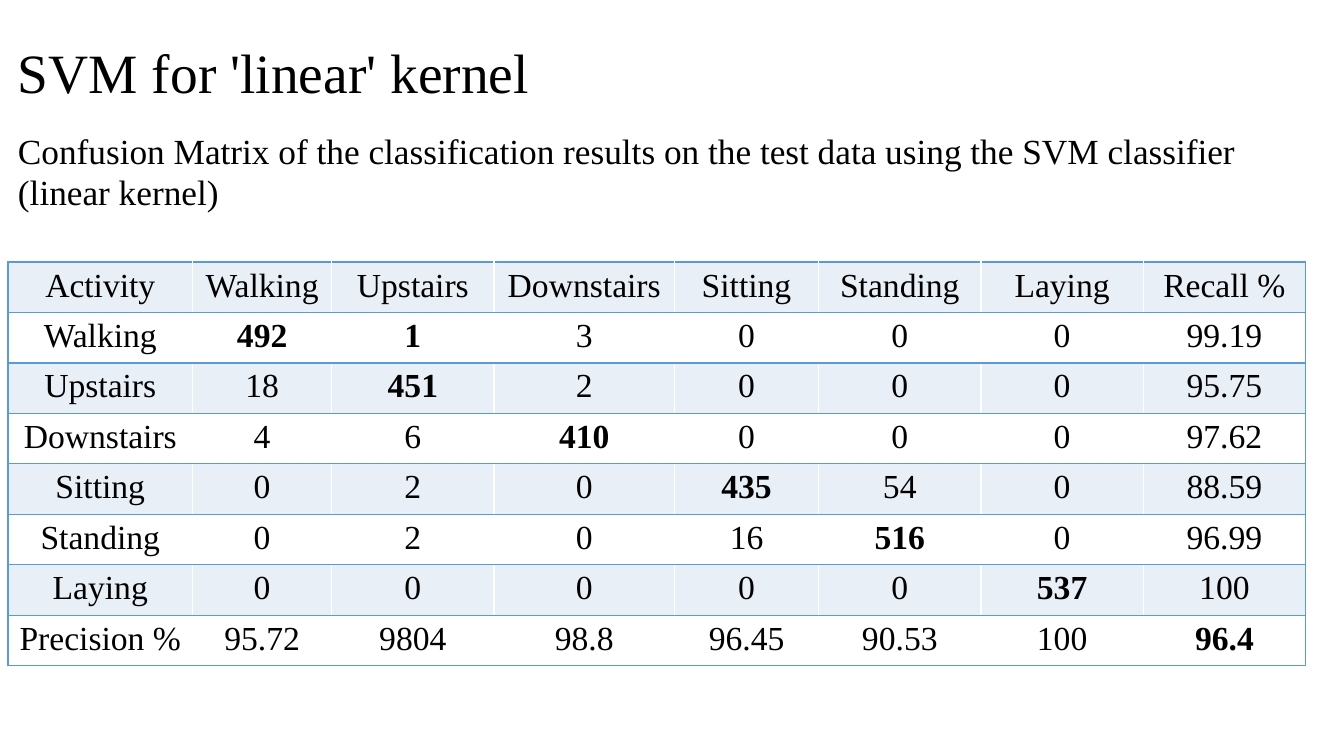
from pptx import Presentation
from pptx.dml.color import RGBColor
from pptx.enum.text import MSO_ANCHOR as Anchor, PP_ALIGN as Align
from pptx.oxml import parse_xml
from pptx.oxml.ns import nsdecls
from pptx.util import Inches, Pt

TITLE = "SVM for 'linear' kernel"
SUBTITLE = ("Confusion Matrix of the classification results on the test data "
            "using the SVM classifier (linear kernel)")
ACTIVITIES = ["Walking", "Upstairs", "Downstairs", "Sitting", "Standing", "Laying"]
COUNTS = [
    [492, 1, 3, 0, 0, 0],
    [18, 451, 2, 0, 0, 0],
    [4, 6, 410, 0, 0, 0],
    [0, 2, 0, 435, 54, 0],
    [0, 2, 0, 16, 516, 0],
    [0, 0, 0, 0, 0, 537],
]
RECALL = ["99.19", "95.75", "97.62", "88.59", "96.99", "100"]
PRECISION = ["95.72", "9804", "98.8", "96.45", "90.53", "100"]
ACCURACY = "96.4"

FONT = "Times New Roman"
BLACK, BLUE, BANDS = "000000", "5B9BD5", ("E9EFF7", "FFFFFF")
COLUMN_WIDTHS = [1.83, 1.38, 1.61, 1.79, 1.43, 1.61, 1.61, 1.61]
ROW_HEIGHT = 0.42
LEFT = 0.08


def color(hex_code):
    """Turn a hex string into a colour."""
    return RGBColor.from_string(hex_code)


def style(paragraph, text, size, bold=False):
    """Write text into a paragraph and set its font."""
    paragraph.text = text
    font = paragraph.font
    font.name, font.size, font.bold = FONT, Pt(size), bold
    font.color.rgb = color(BLACK)


def add_borders(cell, sides):
    """Draw 1 pt blue lines on the given sides, in L, R, T, B order."""
    properties = cell._tc.get_or_add_tcPr()
    for place, side in enumerate(sides):
        properties.insert(place, parse_xml(
            f'<a:ln{side} {nsdecls("a")} w="{Pt(1)}"><a:solidFill>'
            f'<a:srgbClr val="{BLUE}"/></a:solidFill></a:ln{side}>'))


def add_heading(slide):
    """Add the title with the subtitle below it."""
    box = slide.shapes.add_textbox(Inches(LEFT), Inches(0.4), Inches(12.99), Inches(1.65))
    frame = box.text_frame
    frame.word_wrap = True
    frame.vertical_anchor = Anchor.TOP
    title, subtitle = frame.paragraphs[0], frame.add_paragraph()
    style(title, TITLE, 39.6)
    title.line_spacing = 0.9
    style(subtitle, SUBTITLE, 25.2)
    subtitle.line_spacing = 0.97
    subtitle.space_before = Pt(19)


def add_matrix(slide):
    """Add the confusion matrix with its recall column and precision row."""
    matrix = [["Activity", *ACTIVITIES, "Recall %"]]
    matrix += [[name, *counts, recall]
               for name, counts, recall in zip(ACTIVITIES, COUNTS, RECALL)]
    matrix.append(["Precision %", *PRECISION, ACCURACY])
    last = len(matrix) - 1
    bold_cells = {(i, i) for i in range(1, last + 1)} | {(1, 2)}

    table = slide.shapes.add_table(
        len(matrix), len(COLUMN_WIDTHS), Inches(LEFT), Inches(2.6),
        Inches(sum(COLUMN_WIDTHS)), Inches(ROW_HEIGHT * len(matrix))).table
    table.first_row = table.horz_banding = False
    for column, width in zip(table.columns, COLUMN_WIDTHS):
        column.width = Inches(width)
    for r, values in enumerate(matrix):
        table.rows[r].height = Inches(ROW_HEIGHT)
        for c, value in enumerate(values):
            cell = table.cell(r, c)
            paragraph = cell.text_frame.paragraphs[0]
            style(paragraph, str(value), 24, (r, c) in bold_cells)
            paragraph.alignment = Align.CENTER
            cell.fill.solid()
            cell.fill.fore_color.rgb = color(BANDS[r % 2])
            add_borders(cell, {0: "LTB", last: "RTB"}.get(c, "TB"))


deck = Presentation()
deck.slide_width, deck.slide_height = Inches(13.33), Inches(7.5)
page = deck.slides.add_slide(deck.slide_layouts[6])
add_heading(page)
add_matrix(page)
deck.save("out.pptx")
